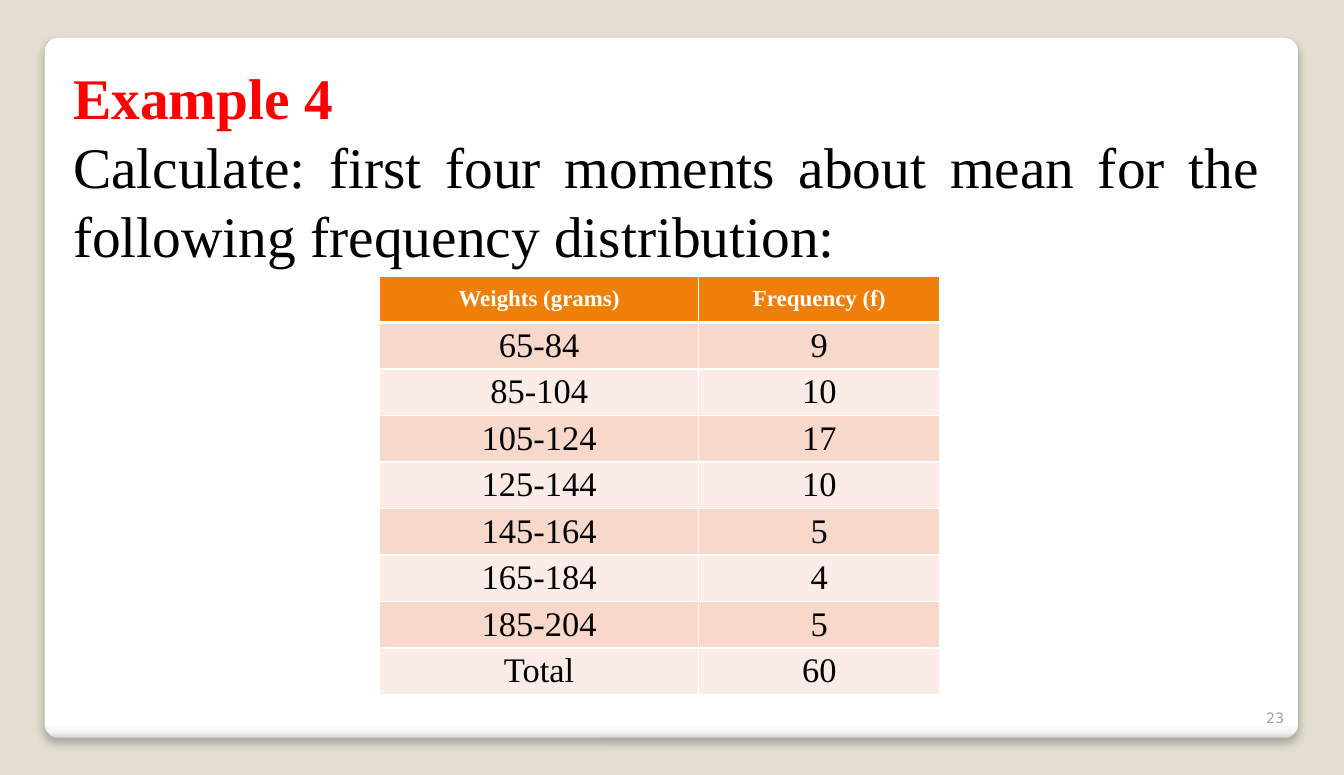
"""Build the worked-example slide on moments about the mean."""
import dataclasses
import typing

import lxml.etree
import pptx
import pptx.dml.color
import pptx.enum.shapes
import pptx.enum.text
import pptx.oxml.ns
import pptx.util

Inches = pptx.util.Inches
Pt = pptx.util.Pt
RGB = pptx.dml.color.RGBColor.from_string
ALIGN = pptx.enum.text.PP_ALIGN
ANCHOR = pptx.enum.text.MSO_ANCHOR
qn = pptx.oxml.ns.qn


@dataclasses.dataclass(frozen=True)
class Theme:
    """Colours, fonts and type sizes of the slide."""

    background: str = "E3DED1"
    outline: str = "A4A4A4"
    shadow: str = "000000"
    accent: str = "FF0000"
    text: str = "000000"
    white: str = "FFFFFF"
    muted: str = "A8A49B"
    header: str = "F07F09"
    bands: tuple[str, str] = ("F9D8CC", "FCECE7")
    card: tuple[tuple[int, str], ...] = (
        (0, "FFFFFF"), (98, "FFFFFF"), (99, "F7F7F7"), (100, "DADADA"))
    serif: str = "Times New Roman"
    sans: str = "DejaVu Sans"
    body_size: int = 40
    cell_size: int = 24
    header_size: int = 16
    number_size: int = 10


class Box(typing.NamedTuple):
    """A position and size in inches."""

    left: float
    top: float
    width: float
    height: float

    def emu(self) -> list[int]:
        """Return the box as lengths."""
        return [Inches(v) for v in self]


@dataclasses.dataclass(frozen=True)
class Line:
    """One paragraph of text with its format."""

    text: str
    size: int
    color: str
    bold: bool = False
    align: typing.Any = ALIGN.CENTER
    font: str = Theme.serif


THEME = Theme()
ROWS = [
    ("Weights (grams)", "Frequency (f)"),
    ("65-84", "9"),
    ("85-104", "10"),
    ("105-124", "17"),
    ("125-144", "10"),
    ("145-164", "5"),
    ("165-184", "4"),
    ("185-204", "5"),
    ("Total", "60"),
]
COLUMN_WIDTHS = (3.09, 2.33)
ROW_HEIGHT = 0.45


def write(p, line: Line) -> None:
    """Fill a paragraph with one formatted run."""
    p.alignment = line.align
    r = p.add_run()
    r.text = line.text
    formats = {"name": line.font, "size": Pt(line.size), "bold": line.bold}
    for name, value in formats.items():
        setattr(r.font, name, value)
    r.font.color.rgb = RGB(line.color)


def add_text(slide, box: Box, lines: list[Line], anchor) -> None:
    """Add a wrapped text box."""
    tf = slide.shapes.add_textbox(*box.emu()).text_frame
    tf.word_wrap = True
    tf.vertical_anchor = anchor
    for i, line in enumerate(lines):
        write(tf.add_paragraph() if i else tf.paragraphs[0], line)


def add_color(parent, color: str):
    """Append an RGB colour element."""
    return lxml.etree.SubElement(parent, qn("a:srgbClr"), val=color)


def add_card(slide, box: Box) -> None:
    """Add the rounded card with its gradient and soft shadow."""
    sp = slide.shapes.add_shape(
        pptx.enum.shapes.MSO_SHAPE.ROUNDED_RECTANGLE, *box.emu())
    sp.adjustments[0] = 0.02
    sp.line.color.rgb = RGB(THEME.outline)
    sp.line.width = Pt(0.16)
    sp.fill.gradient()
    sp.fill.gradient_angle = 270
    stops = next(sp._element.spPr.iter(qn("a:gsLst")))
    for stop in list(stops):
        stops.remove(stop)
    for percent, color in THEME.card:
        add_color(lxml.etree.SubElement(
            stops, qn("a:gs"), pos=str(percent * 1000)), color)
    sp.shadow.inherit = False
    shadow = lxml.etree.SubElement(
        sp._element.spPr.find(qn("a:effectLst")), qn("a:outerShdw"),
        blurRad=str(Pt(6)), dist=str(Pt(4)), dir="5400000", rotWithShape="0")
    lxml.etree.SubElement(
        add_color(shadow, THEME.shadow), qn("a:alpha"), val="25000")


def set_borders(cell, bottom: float) -> None:
    """Draw white borders round a cell."""
    tc_pr = cell._tc.get_or_add_tcPr()
    sides = {"a:lnL": 1, "a:lnR": 1, "a:lnT": 1, "a:lnB": bottom}
    for i, (tag, width) in enumerate(sides.items()):
        ln = lxml.etree.Element(qn(tag), w=str(Pt(width)))
        add_color(lxml.etree.SubElement(ln, qn("a:solidFill")), THEME.white)
        tc_pr.insert(i, ln)


def add_frequency_table(slide, left: float, top: float) -> None:
    """Add the banded frequency table."""
    box = Box(left, top, sum(COLUMN_WIDTHS), ROW_HEIGHT * len(ROWS))
    table = slide.shapes.add_table(
        len(ROWS), len(COLUMN_WIDTHS), *box.emu()).table
    for column, width in zip(table.columns, COLUMN_WIDTHS):
        column.width = Inches(width)
    cell_format = {"margin_left": 0, "margin_right": 0, "margin_top": 0,
                   "margin_bottom": 0, "vertical_anchor": ANCHOR.MIDDLE}
    for i, values in enumerate(ROWS):
        table.rows[i].height = Inches(ROW_HEIGHT)
        head = i == 0
        size = THEME.header_size if head else THEME.cell_size
        color = THEME.white if head else THEME.text
        fill = THEME.header if head else THEME.bands[(i - 1) % 2]
        for j, value in enumerate(values):
            cell = table.cell(i, j)
            for name, setting in cell_format.items():
                setattr(cell, name, setting)
            cell.fill.solid()
            cell.fill.fore_color.rgb = RGB(fill)
            set_borders(cell, 3 if head else 1)
            write(cell.text_frame.paragraphs[0],
                  Line(value, size, color, head))


def main() -> None:
    """Build and save the slide."""
    prs = pptx.Presentation()
    prs.slide_width, prs.slide_height = Inches(13), Inches(7.5)
    slide = prs.slides.add_slide(prs.slide_layouts[6])
    slide.background.fill.solid()
    slide.background.fill.fore_color.rgb = RGB(THEME.background)
    add_card(slide, Box(0.43, 0.36, 12.13, 6.78))
    add_text(slide, Box(11.87, 6.68, 0.65, 0.4), [
        Line("23", THEME.number_size, THEME.muted, align=ALIGN.RIGHT,
             font=THEME.sans)], ANCHOR.BOTTOM)
    add_text(slide, Box(0.61, 0.55, 11.67, 2.1), [
        Line("Example 4", THEME.body_size, THEME.accent, True, ALIGN.JUSTIFY),
        Line("Calculate: first four moments about mean for the following "
             "frequency distribution:", THEME.body_size, THEME.text,
             align=ALIGN.JUSTIFY)], ANCHOR.TOP)
    add_frequency_table(slide, 3.67, 2.67)
    prs.save("out.pptx")


if __name__ == "__main__":
    main()
